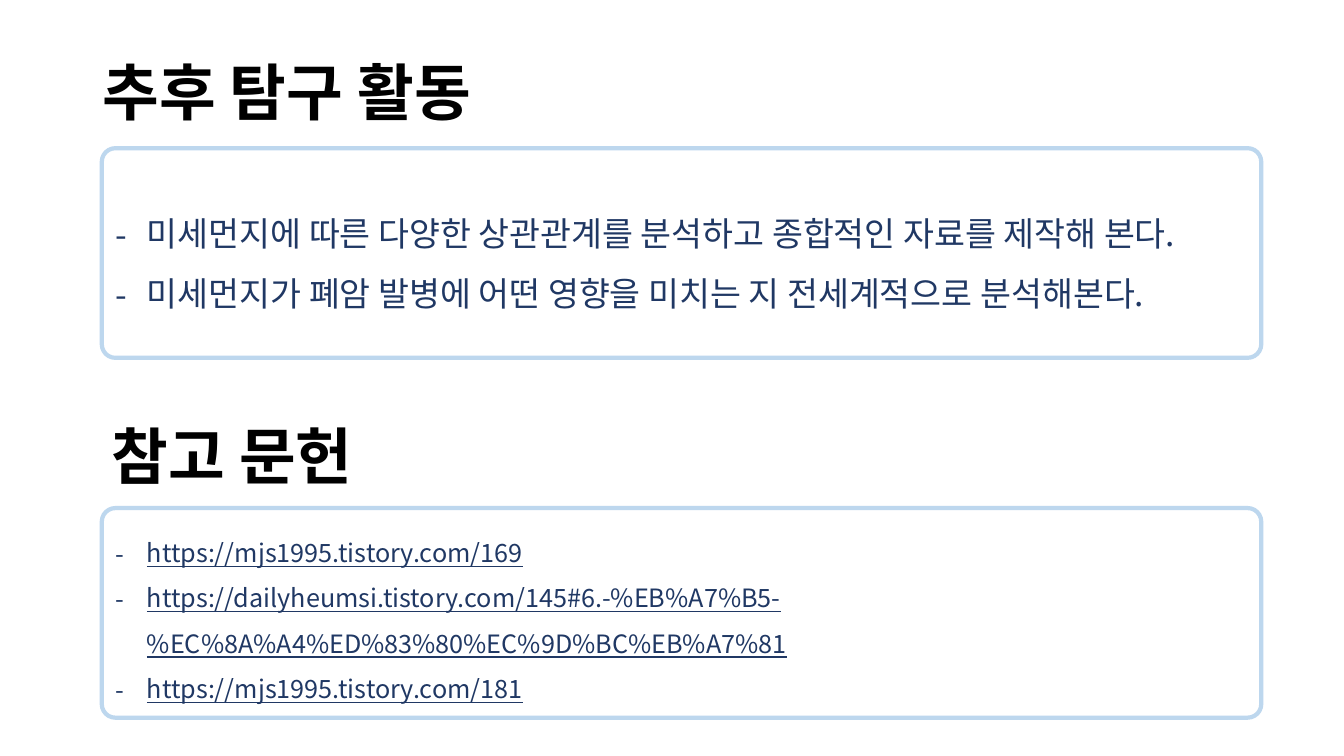
from dataclasses import dataclass

from lxml.etree import SubElement
from pptx import Presentation
from pptx.dml.color import RGBColor
from pptx.enum.shapes import MSO_SHAPE as Shape
from pptx.enum.text import MSO_ANCHOR as Anchor, PP_ALIGN as Align
from pptx.oxml.ns import qn
from pptx.slide import Slide
from pptx.text.text import TextFrame
from pptx.util import Inches, Pt

FONT = "Noto Sans CJK KR"
BLACK, NAVY, PALE_BLUE = "000000", "203864", "BDD7EE"
WIDTH = 11.5
HEADING_HEIGHT, PANEL_HEIGHT = 1.45, 2.08
PANEL_LEFT = 1.01
HANGING_INDENT = 0.31


@dataclass(frozen=True)
class Section:
    heading: str
    heading_left: float
    heading_top: float
    panel_top: float
    items: tuple[str, ...]
    item_size: int
    underlined: bool = False


SECTIONS = (
    Section(
        "추후 탐구 활동", 0.92, 0.22, 1.47,
        (
            "미세먼지에 따른 다양한 상관관계를 분석하고 종합적인 자료를 제작해 본다.",
            "미세먼지가 폐암 발병에 어떤 영향을 미치는 지 전세계적으로 분석해본다.",
        ),
        24,
    ),
    Section(
        "참고 문헌", 1.01, 3.83, 5.04,
        (
            "https://mjs1995.tistory.com/169",
            "https://dailyheumsi.tistory.com/145#6.-%EB%A7%B5-%EC%8A%A4%ED%83%80%EC%9D%BC%EB%A7%81",
            "https://mjs1995.tistory.com/181",
        ),
        18,
        underlined=True,
    ),
)


def color(hex_code: str) -> RGBColor:
    return RGBColor.from_string(hex_code)


def write_lines(
    frame: TextFrame, lines: tuple[str, ...], size: int, ink: str, spacing: float,
    bold: bool = False, underlined: bool = False, dashed: bool = False,
) -> None:
    """Fill the frame with one paragraph per line, optionally as a dash list."""
    frame.word_wrap = True
    frame.vertical_anchor = Anchor.MIDDLE
    for index, line in enumerate(lines):
        paragraph = frame.add_paragraph() if index else frame.paragraphs[0]
        paragraph.alignment = Align.LEFT
        paragraph.line_spacing = spacing
        if dashed:
            properties = paragraph._p.get_or_add_pPr()
            properties.set("marL", str(Inches(HANGING_INDENT)))
            properties.set("indent", str(-Inches(HANGING_INDENT)))
            SubElement(properties, qn("a:buFont"), typeface=FONT)
            SubElement(properties, qn("a:buChar"), char="-")
        run = paragraph.add_run()
        run.text = line
        font = run.font
        font.name, font.size, font.bold = FONT, Pt(size), bold
        font.underline = underlined
        font.color.rgb = color(ink)
        SubElement(font._element, qn("a:ea"), typeface=FONT)


def draw_section(slide: Slide, section: Section) -> None:
    heading = slide.shapes.add_textbox(
        Inches(section.heading_left), Inches(section.heading_top),
        Inches(WIDTH), Inches(HEADING_HEIGHT),
    )
    write_lines(heading.text_frame, (section.heading,), 44, BLACK, 0.9, bold=True)

    panel = slide.shapes.add_shape(
        Shape.ROUNDED_RECTANGLE, Inches(PANEL_LEFT), Inches(section.panel_top),
        Inches(WIDTH), Inches(PANEL_HEIGHT),
    )
    panel.adjustments[0] = 0.065
    panel.shadow.inherit = False
    panel.fill.background()
    panel.line.color.rgb = color(PALE_BLUE)
    panel.line.width = Pt(3)
    write_lines(
        panel.text_frame, section.items, section.item_size, NAVY, 1.5,
        underlined=section.underlined, dashed=True,
    )


def main() -> None:
    deck = Presentation()
    deck.slide_width, deck.slide_height = Inches(13.33), Inches(7.5)
    slide = deck.slides.add_slide(deck.slide_layouts[6])
    for section in SECTIONS:
        draw_section(slide, section)
    deck.save("out.pptx")


if __name__ == "__main__":
    main()
